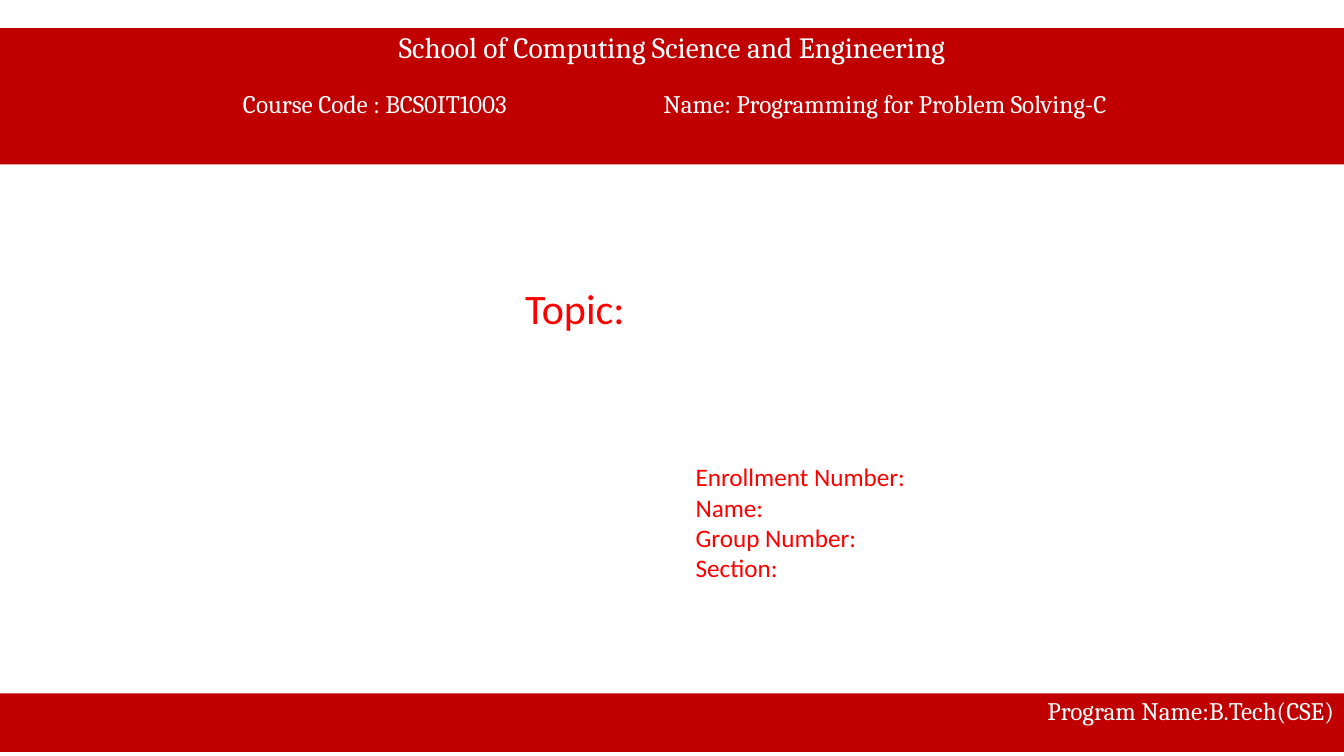
from dataclasses import dataclass

from pptx import Presentation
from pptx.dml.color import RGBColor
from pptx.enum.shapes import MSO_SHAPE as Shape
from pptx.enum.text import MSO_ANCHOR as Anchor, MSO_AUTO_SIZE as AutoSize, PP_ALIGN as Align
from pptx.oxml.xmlchemy import OxmlElement
from pptx.util import Inches, Pt


@dataclass(frozen=True)
class Theme:
    band: RGBColor = RGBColor(0xC0, 0x00, 0x00)
    on_band: RGBColor = RGBColor(0xFF, 0xFF, 0xFF)
    label: RGBColor = RGBColor(0xFF, 0x00, 0x00)
    band_font: str = "Cambria"
    label_font: str = "Calibri"
    school_size: int = 21
    topic_size: int = 30
    text_size: int = 18


def set_all(target, values):
    for name, value in values.items():
        setattr(target, name, value)


def add_tab_stops(para, stops):
    tab_list = OxmlElement("a:tabLst")
    for stop in stops:
        tab = OxmlElement("a:tab")
        tab.set("pos", str(Inches(stop)))
        tab.set("algn", "l")
        tab_list.append(tab)
    para._p.get_or_add_pPr().append(tab_list)


class CoverPage:
    def __init__(self, deck, theme):
        self.theme = theme
        self.width = deck.slide_width
        self.page = deck.slides.add_slide(deck.slide_layouts[5])

    def put_lines(self, box, lines, font, color):
        """Each line is (text, size, paragraph format, tab stops)."""
        frame = box.text_frame
        set_all(frame, dict(word_wrap=True, auto_size=AutoSize.NONE,
                            vertical_anchor=Anchor.TOP))
        for index, (text, size, layout, stops) in enumerate(lines):
            para = frame.paragraphs[0] if index == 0 else frame.add_paragraph()
            set_all(para, layout)
            if stops:
                add_tab_stops(para, stops)
            span = para.add_run()
            span.text = text
            set_all(span.font, dict(name=font, size=Pt(size)))
            span.font.color.rgb = color

    def fill_band(self, box, top, height, lines):
        set_all(box, dict(left=0, top=Inches(top), width=self.width, height=Inches(height)))
        box.fill.solid()
        box.fill.fore_color.rgb = self.theme.band
        box.line.fill.background()
        self.put_lines(box, lines, self.theme.band_font, self.theme.on_band)

    def title_band(self, top, height, lines):
        self.fill_band(self.page.shapes.title, top, height, lines)

    def footer_band(self, top, height, lines):
        box = self.page.shapes.add_shape(Shape.RECTANGLE, 0, 0, self.width, Inches(height))
        box.shadow.inherit = False
        self.fill_band(box, top, height, lines)

    def labels(self, left, top, width, height, texts, size):
        box = self.page.shapes.add_textbox(*map(Inches, (left, top, width, height)))
        lines = [(text, size, dict(alignment=Align.LEFT), ()) for text in texts]
        self.put_lines(box, lines, self.theme.label_font, self.theme.label)


def main():
    deck = Presentation()
    set_all(deck, dict(slide_width=Inches(13.33), slide_height=Inches(7.5)))
    theme = Theme()
    cover = CoverPage(deck, theme)

    cover.title_band(0.28, 1.35, [
        ("School of Computing Science and Engineering", theme.school_size,
         dict(alignment=Align.CENTER, line_spacing=0.9), ()),
        ("\tCourse Code : BCS0IT1003\tName: Programming for Problem Solving-C", theme.text_size,
         dict(alignment=Align.LEFT, line_spacing=0.9, space_before=Pt(19)), (2.31, 6.48)),
    ])
    cover.footer_band(6.88, 0.58, [
        ("Program Name:B.Tech(CSE)", theme.text_size,
         dict(alignment=Align.RIGHT, line_spacing=0.9), ()),
    ])
    cover.labels(5.11, 2.75, 6.11, 1.11, ["Topic:"], theme.topic_size)
    cover.labels(6.8, 4.53, 6.69, 1.62,
                 ["Enrollment Number:", "Name:", "Group Number:", "Section:"],
                 theme.text_size)
    deck.save("out.pptx")


if __name__ == "__main__":
    main()
